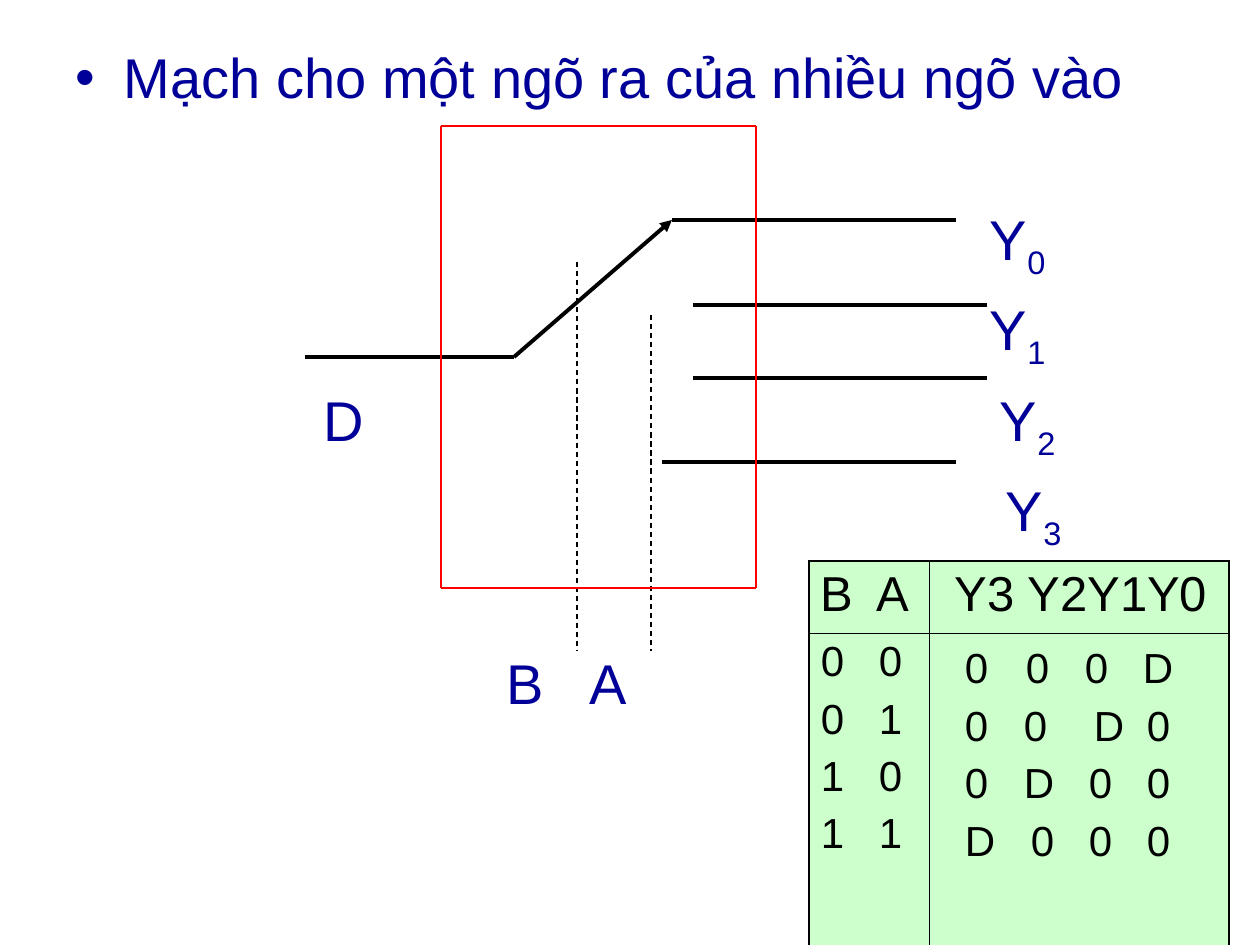
from dataclasses import dataclass
from itertools import pairwise
from typing import Any

from lxml.etree import SubElement
from pptx import Presentation
from pptx.dml.color import RGBColor
from pptx.enum.dml import MSO_LINE
from pptx.enum.shapes import MSO_CONNECTOR
from pptx.oxml.ns import qn
from pptx.util import Emu, Pt

PX_PER_INCH = 126
COLORS = {
    "navy": "000099",
    "black": "000000",
    "red": "FF0000",
    "mint": "CCFFCC",
}


@dataclass(frozen=True)
class Label:
    text: str
    left: int
    top: int
    subscript: str = ""


@dataclass(frozen=True)
class Wire:
    start: tuple[int, int]
    end: tuple[int, int]
    color: str = "black"
    weight: float = 2.25
    dashed: bool = False
    arrow: bool = False


@dataclass(frozen=True)
class TableLine:
    text: str
    stops: tuple[int, ...] = ()


@dataclass(frozen=True)
class TableCell:
    lines: tuple[TableLine, ...]
    size: int
    margin_left: int = 12
    margin_top: int = 6


TITLE = "Mạch cho một ngõ ra của nhiều ngõ vào"
LABELS = [
    *(Label("Y", left, 205 + round(90.4 * i), str(i))
      for i, left in enumerate((990, 990, 1000, 1006))),
    Label("D", 324, 386),
    Label("B", 507, 649),
    Label("A", 590, 649),
]

OUTPUTS = [(672, 956, 220), (693, 987, 305), (693, 987, 378), (662, 956, 462)]
SELECTORS = [(577, 262), (651, 315)]
FRAME = [(441, 126), (756, 126), (756, 588), (441, 588), (441, 126)]
WIRES = [
    *(Wire((left, y), (right, y)) for left, right, y in OUTPUTS),
    Wire((305, 357), (514, 357)),
    Wire((514, 357), (672, 220), arrow=True),
    *(Wire((x, top), (x, 651), weight=0.75, dashed=True) for x, top in SELECTORS),
    *(Wire(a, b, color="red", weight=0.75) for a, b in pairwise(FRAME)),
]

TABLE_LEFT, TABLE_TOP = 809, 561
COLUMN_WIDTHS = (120, 300)
ROW_HEIGHTS = (72, 315)
TRUTH_TABLE = [
    [
        TableCell((TableLine("B\tA", (56,)),), 28),
        TableCell((TableLine("Y3 Y2Y1Y0"),), 28, margin_left=26),
    ],
    [
        TableCell(tuple(TableLine(f"{b}\t{a}", (58,)) for b in (0, 1) for a in (0, 1)), 24),
        TableCell((
            TableLine("0\t0\t0\tD", (61, 120, 178)),
            TableLine("0\t0\tD\t0", (59, 129, 182)),
            TableLine("0\tD\t0\t0", (59, 124, 182)),
            TableLine("D\t0\t0\t0", (66, 124, 182)),
        ), 24, margin_left=36, margin_top=13),
    ],
]


def px(length: int) -> Emu:
    return Emu(round(length * 914400 / PX_PER_INCH))


def rgb(color: str) -> RGBColor:
    return RGBColor.from_string(COLORS[color])


def apply(target: Any, values: dict[str, Any]) -> None:
    for name, value in values.items():
        setattr(target, name, value)


def write(paragraph: Any, text: str, size: int, color: str, baseline: int = 0) -> None:
    run = paragraph.add_run()
    run.text = text
    apply(run.font, {"name": "Arial", "size": Pt(size)})
    run.font.color.rgb = rgb(color)
    if baseline:
        run.font._element.set("baseline", str(baseline))


def add_frame(slide: Any, left: int, top: int, width: int, height: int,
              margin_x: int = 0, margin_y: int = 0) -> Any:
    frame = slide.shapes.add_textbox(px(left), px(top), px(width), px(height)).text_frame
    apply(frame, {
        "word_wrap": True,
        "margin_left": px(margin_x), "margin_right": px(margin_x),
        "margin_top": px(margin_y), "margin_bottom": px(margin_y),
    })
    return frame


def draw_title(slide: Any) -> None:
    paragraph = add_frame(slide, 63, 37, 1134, 77, 13, 6).paragraphs[0]
    properties = paragraph._p.get_or_add_pPr()
    properties.set("marL", str(px(48)))
    properties.set("indent", str(px(-48)))
    bullet_color = SubElement(properties, qn("a:buClr"))
    SubElement(bullet_color, qn("a:srgbClr"), val=COLORS["navy"])
    SubElement(properties, qn("a:buFont"), typeface="Arial")
    SubElement(properties, qn("a:buChar"), char="•")
    write(paragraph, TITLE, 32, "navy")


def draw_label(slide: Any, label: Label) -> None:
    paragraph = add_frame(slide, label.left, label.top, 90, 65).paragraphs[0]
    write(paragraph, label.text, 32, "navy")
    if label.subscript:
        write(paragraph, label.subscript, 32, "navy", -25000)


def draw_wire(slide: Any, wire: Wire) -> None:
    connector = slide.shapes.add_connector(
        MSO_CONNECTOR.STRAIGHT, *map(px, wire.start + wire.end))
    connector.line.color.rgb = rgb(wire.color)
    connector.line.width = Pt(wire.weight)
    if wire.dashed:
        connector.line.dash_style = MSO_LINE.DASH
    if wire.arrow:
        SubElement(connector.line._get_or_add_ln(), qn("a:tailEnd"), type="triangle")
    SubElement(connector._element.spPr, qn("a:effectLst"))


def draw_borders(cell: Any, row: int, column: int) -> None:
    outer = {"L": column == 0, "R": column == 1, "T": row == 0, "B": row == 1}
    properties = cell._tc.get_or_add_tcPr()
    for side, is_outer in outer.items():
        width = Pt(1.08 if is_outer else 0.45)
        border = SubElement(properties, qn(f"a:ln{side}"), w=str(width))
        fill = SubElement(border, qn("a:solidFill"))
        SubElement(fill, qn("a:srgbClr"), val=COLORS["black"])


def fill_cell(cell: Any, content: TableCell) -> None:
    apply(cell, {
        "margin_left": px(content.margin_left), "margin_right": px(0),
        "margin_top": px(content.margin_top), "margin_bottom": px(6),
    })
    cell.fill.solid()
    cell.fill.fore_color.rgb = rgb("mint")
    for i, line in enumerate(content.lines):
        paragraph = cell.text_frame.add_paragraph() if i else cell.text_frame.paragraphs[0]
        if i:
            paragraph.space_before = Pt(content.size / 4)
        if line.stops:
            tabs = SubElement(paragraph._p.get_or_add_pPr(), qn("a:tabLst"))
            for stop in line.stops:
                SubElement(tabs, qn("a:tab"), pos=str(px(stop)), algn="l")
        write(paragraph, line.text, content.size, "black")


def draw_truth_table(slide: Any) -> None:
    table = slide.shapes.add_table(
        len(ROW_HEIGHTS), len(COLUMN_WIDTHS), px(TABLE_LEFT), px(TABLE_TOP),
        px(sum(COLUMN_WIDTHS)), px(sum(ROW_HEIGHTS))).table
    apply(table, {"first_row": False, "horz_banding": False})
    for column, width in zip(table.columns, COLUMN_WIDTHS):
        column.width = px(width)
    for r, (height, contents) in enumerate(zip(ROW_HEIGHTS, TRUTH_TABLE)):
        table.rows[r].height = px(height)
        for c, content in enumerate(contents):
            draw_borders(table.cell(r, c), r, c)
            fill_cell(table.cell(r, c), content)


def main() -> None:
    deck = Presentation()
    apply(deck, {"slide_width": px(1260), "slide_height": px(945)})
    slide = deck.slides.add_slide(deck.slide_layouts[6])
    draw_title(slide)
    for label in LABELS:
        draw_label(slide, label)
    for wire in WIRES:
        draw_wire(slide, wire)
    draw_truth_table(slide)
    deck.save("out.pptx")


if __name__ == "__main__":
    main()
